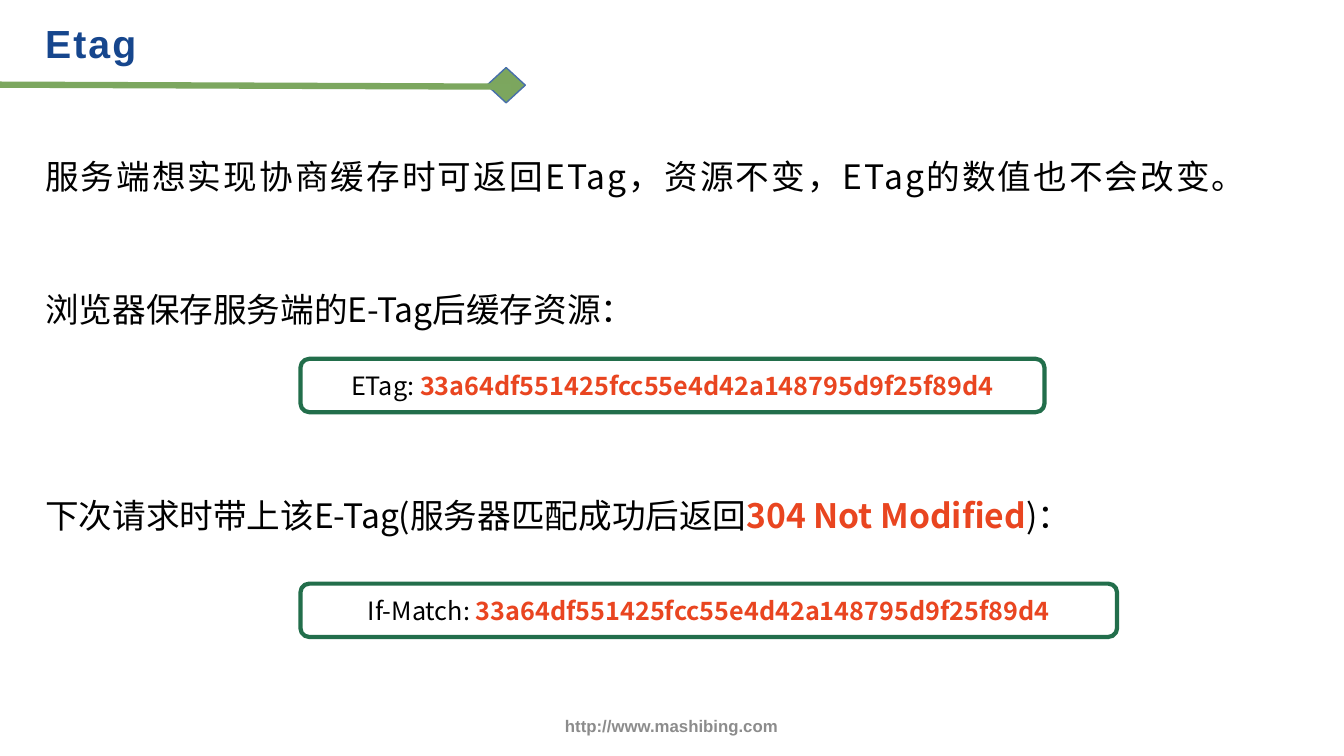
from dataclasses import dataclass

from lxml import etree
from pptx import Presentation
from pptx.dml.color import RGBColor
from pptx.enum.shapes import MSO_CONNECTOR, MSO_SHAPE
from pptx.enum.text import MSO_ANCHOR as Anchor, PP_ALIGN as Align
from pptx.oxml.ns import qn
from pptx.util import Inches, Pt


@dataclass(frozen=True)
class Theme:
    title: RGBColor = RGBColor.from_string("16468D")
    text: RGBColor = RGBColor.from_string("000000")
    accent: RGBColor = RGBColor.from_string("E94520")
    footer: RGBColor = RGBColor.from_string("8C8C8C")
    frame: RGBColor = RGBColor.from_string("226E4B")
    rule: RGBColor = RGBColor.from_string("7CA75F")
    diamond: RGBColor = RGBColor.from_string("7CA65E")
    diamond_edge: RGBColor = RGBColor.from_string("476FAA")
    latin: str = "Arial"
    body: str = "Noto Sans CJK SC"
    title_size: int = 28
    body_size: int = 24
    code_size: int = 18
    footer_size: int = 12


THEME = Theme()
MARGIN = 0.35
FRAME_LEFT = 2.98
HASH = "33a64df551425fcc55e4d42a148795d9f25f89d4"


def add_span(para, text, size, color=THEME.text, bold=False,
             font=THEME.body, spacing=0):
    span = para.add_run()
    span.text = text
    span.font.size = Pt(size)
    span.font.bold = bold
    span.font.color.rgb = color
    span.font.name = font
    props = span.font._element
    etree.SubElement(props, qn("a:ea")).set("typeface", font)
    if spacing:
        props.set("spc", str(int(spacing * 100)))


def add_text(page, left, top, width, height):
    """Add a wrapping text box and return its first paragraph."""
    box = page.shapes.add_textbox(
        Inches(left), Inches(top), Inches(width), Inches(height))
    box.text_frame.word_wrap = True
    return box.text_frame.paragraphs[0]


def loosen(para):
    para.line_spacing = 1.3
    para.space_after = Pt(6)
    return para


def add_header_frame(page, top, width, header):
    """Add a rounded frame that shows one HTTP header."""
    frame = page.shapes.add_shape(
        MSO_SHAPE.ROUNDED_RECTANGLE, Inches(FRAME_LEFT), Inches(top),
        Inches(width), Inches(0.53))
    frame.shadow.inherit = False
    frame.fill.background()
    frame.line.color.rgb = THEME.frame
    frame.line.width = Pt(3)
    frame.text_frame.vertical_anchor = Anchor.MIDDLE
    para = frame.text_frame.paragraphs[0]
    para.alignment = Align.CENTER
    add_span(para, header + ": ", THEME.code_size)
    add_span(para, HASH, THEME.code_size, THEME.accent, True)


def add_title_rule(page):
    diamond = page.shapes.add_shape(
        MSO_SHAPE.DIAMOND, Inches(4.83), Inches(0.67),
        Inches(0.38), Inches(0.35))
    diamond.shadow.inherit = False
    diamond.fill.solid()
    diamond.fill.fore_color.rgb = THEME.diamond
    diamond.line.color.rgb = THEME.diamond_edge
    diamond.line.width = Pt(1)

    rule = page.shapes.add_connector(
        MSO_CONNECTOR.STRAIGHT, Inches(0), Inches(0.84),
        Inches(5.07), Inches(0.86))
    rule.line.color.rgb = THEME.rule
    rule.line.width = Pt(4.5)
    etree.SubElement(rule._element.spPr, qn("a:effectLst"))


def add_footer(page):
    para = add_text(page, 4.3, 6.9, 4.72, 0.6)
    para.alignment = Align.CENTER
    add_span(para, "http://www.mashibing.com", THEME.footer_size,
             THEME.footer, True, THEME.latin)
    page.shapes[-1].text_frame.vertical_anchor = Anchor.MIDDLE


def main():
    deck = Presentation()
    deck.slide_width, deck.slide_height = Inches(13.33), Inches(7.5)
    page = deck.slides.add_slide(deck.slide_layouts[6])

    # Title band and footer
    add_title_rule(page)
    add_footer(page)
    title = loosen(add_text(page, MARGIN, 0, 4.73, 0.75))
    add_span(title, "Etag", THEME.title_size, THEME.title, True,
             THEME.latin, 1.5)

    # Introduction
    intro = loosen(add_text(page, MARGIN, 1.38, 12.19, 0.72))
    add_span(intro, "服务端想实现协商缓存时可返回ETag，资源不变，ETag的数值也不会改变。",
             THEME.body_size, spacing=1.5)

    # Response: the browser stores the tag
    store = add_text(page, MARGIN, 2.82, 6.08, 0.5)
    add_span(store, "浏览器保存服务端的E-Tag后缓存资源：", THEME.body_size)
    add_header_frame(page, 3.56, 7.38, "ETag")

    # Next request: the tag is sent back
    resend = add_text(page, MARGIN, 4.86, 10.4, 0.5)
    add_span(resend, "下次请求时带上该E-Tag(服务器匹配成功后返回", THEME.body_size)
    add_span(resend, "304 Not Modified", THEME.body_size, THEME.accent, True)
    add_span(resend, ")：", THEME.body_size)
    add_header_frame(page, 5.79, 8.1, "If-Match")

    deck.save("out.pptx")


if __name__ == "__main__":
    main()
